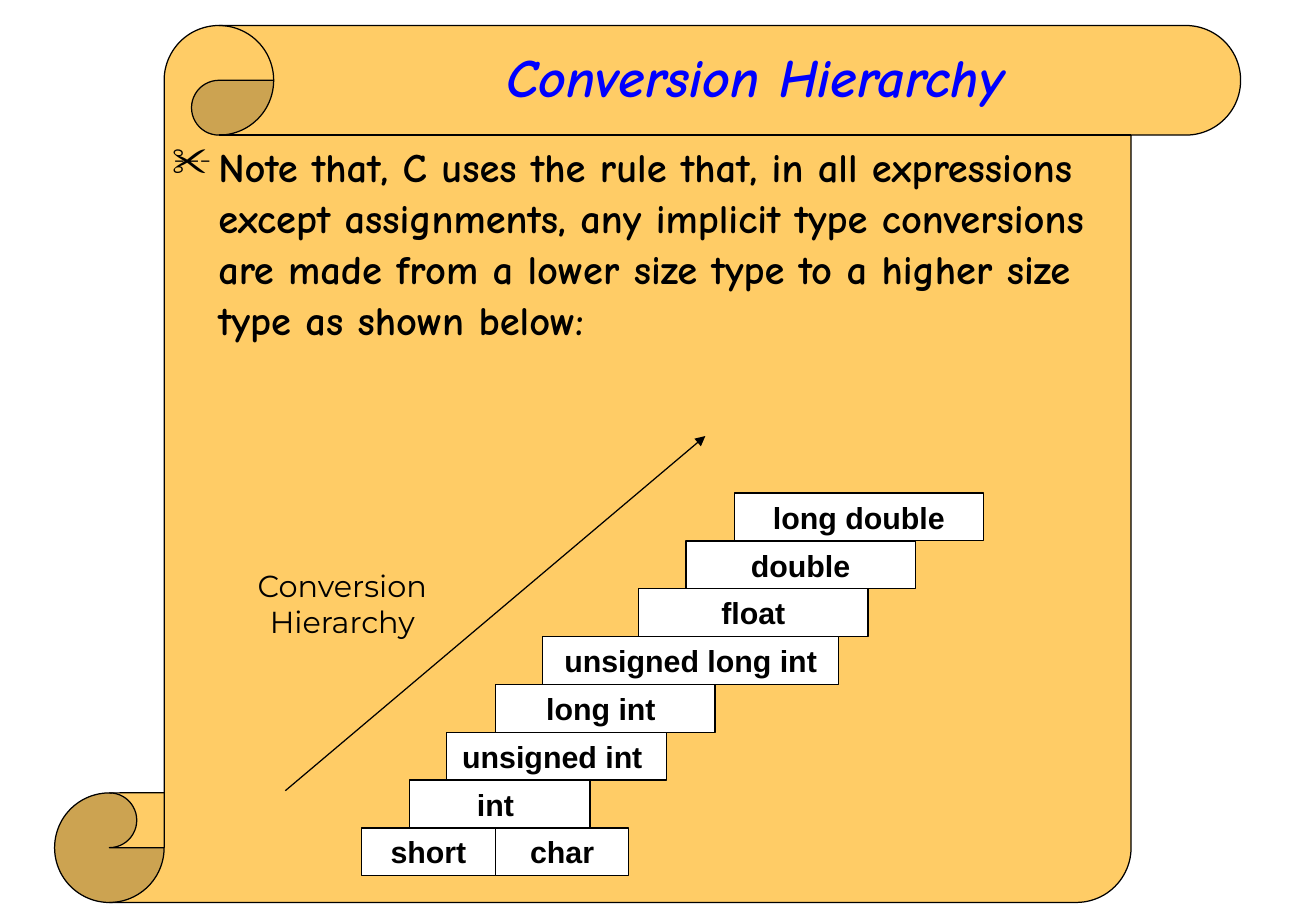
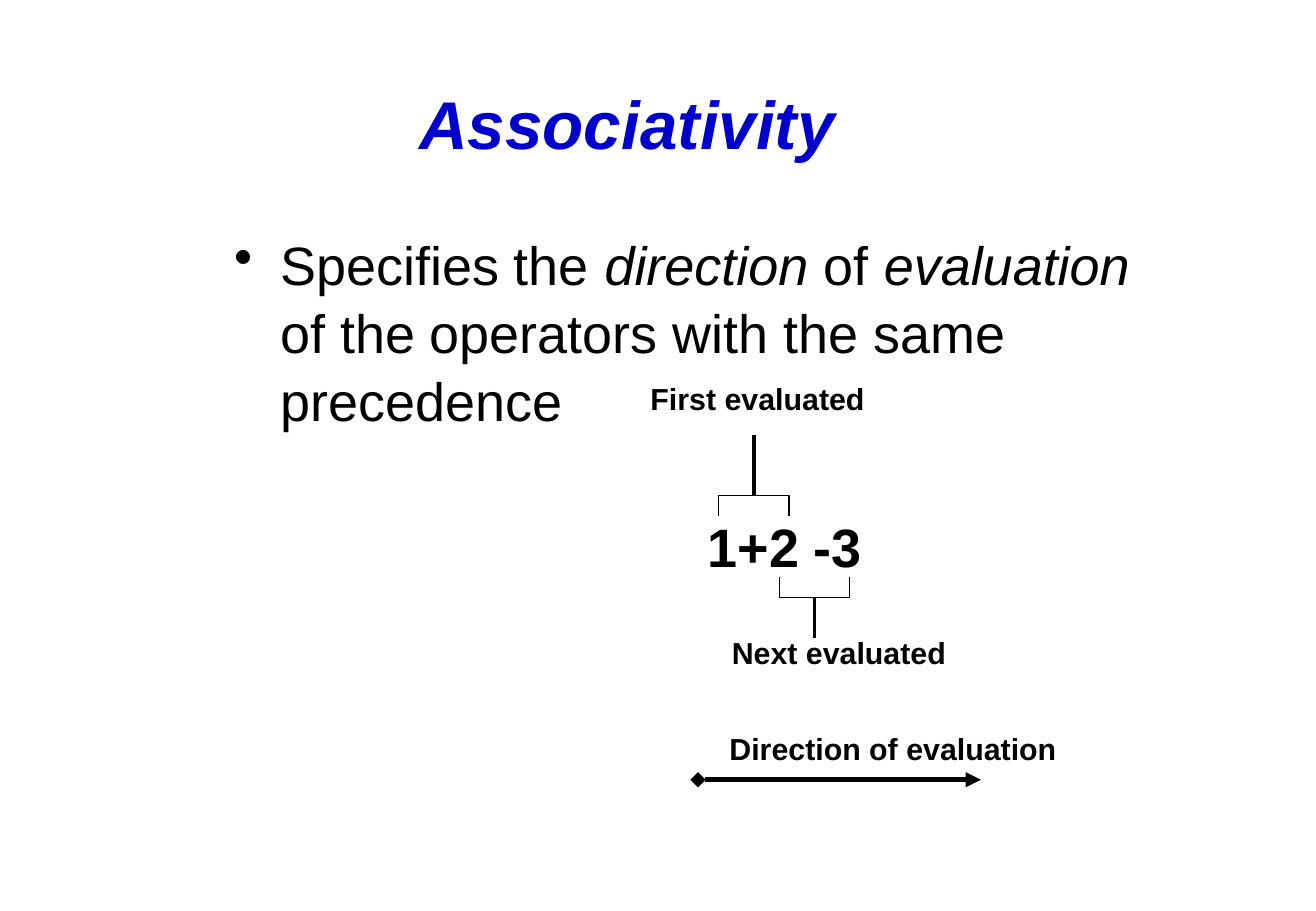
from lxml import etree
from pptx import Presentation
from pptx.dml.color import RGBColor
from pptx.enum import shapes, text
from pptx.oxml import ns
from pptx.util import Inches, Pt

THEME = dict(
    ink="000000", paper="FFFFFF", scroll="FFCC66",
    sans="Arial", comic="Comic Neue", label="Montserrat",
    small=18, medium=24, large=32, huge=40,
    thin=0.75, thick=2.25, heavy=3,
)
T = THEME
SIZE = (10.84, 7.5)

HIERARCHY = dict(
    title="Conversion Hierarchy",
    body="Note that, C uses the rule that, in all expressions except "
         "assignments, any implicit type conversions are made from a lower "
         "size type to a higher size type as shown below:",
    label=["Conversion", "Hierarchy"],
)
# Left edge, box width and types of each stair, from the top down
STAIRS = [
    (6.05, 2.05, ["long double"]),
    (5.65, 1.89, ["double"]),
    (5.26, 1.89, ["float"]),
    (4.47, 2.44, ["unsigned long int"]),
    (4.08, 1.81, ["long int "]),
    (3.68, 1.81, ["unsigned int "]),
    (3.37, 1.49, ["int "]),
    (2.98, 1.1, ["short", "char"]),
]
STAIRS_TOP, STAIRS_BOTTOM = 4.06, 7.21

ASSOCIATIVITY = dict(
    title="Associativity",
    body=[("Specifies the ", False), ("direction", True), (" of ", False),
          ("evaluation", True),
          (" of the operators with the same precedence", False)],
)
EXPRESSION = ("1+2 -3", (5.73, 4.18, 1.47, 0.63))
CAPTIONS = [
    ("First evaluated", (5.26, 3.08, 1.96, 0.4)),
    ("Next evaluated", (5.93, 5.17, 1.96, 0.4)),
    ("Direction of evaluation", (5.91, 5.96, 2.89, 0.4)),
]
# Left edge, open end, closed end and stem end of each bracket
BRACKETS = [(5.92, 4.25, 4.08, 3.58), (6.42, 4.75, 4.92, 5.25)]
BRACKET_WIDTH = 0.58


def rgb(color):
    return RGBColor.from_string(color)


def inches(values):
    return [Inches(v) for v in values]


def add_bullet(p, char):
    """Give a paragraph a hanging bullet."""
    pPr = p._p.get_or_add_pPr()
    pPr.set("marL", str(Inches(0.38)))
    pPr.set("indent", str(-Inches(0.38)))
    clr = etree.SubElement(pPr, ns.qn("a:buClr"))
    etree.SubElement(clr, ns.qn("a:srgbClr"), val=T["ink"])
    etree.SubElement(pPr, ns.qn("a:buChar"), char=char)


def write(sp, paragraphs, size=T["small"], font=T["sans"], color=T["ink"],
          bold=False, italic=False, align="LEFT", anchor="TOP", wrap=True,
          bullet=None, spacing=None):
    """Fill a shape with paragraphs: strings, or lists of (text, italic)."""
    tf = sp.text_frame
    tf.word_wrap = wrap
    tf.auto_size = text.MSO_AUTO_SIZE.NONE
    tf.vertical_anchor = getattr(text.MSO_ANCHOR, anchor)
    for i, runs in enumerate(paragraphs):
        p = tf.add_paragraph() if i else tf.paragraphs[0]
        p.alignment = getattr(text.PP_ALIGN, align)
        if spacing:
            p.line_spacing = spacing
        if bullet:
            add_bullet(p, bullet)
        if isinstance(runs, str):
            runs = [(runs, italic)]
        for words, slanted in runs:
            r = p.add_run()
            r.text = words
            f = r.font
            f.name, f.size, f.bold, f.italic = font, Pt(size), bold, slanted
            f.color.rgb = rgb(color)


def add_text(slide, box, paragraphs, **fmt):
    write(slide.shapes.add_textbox(*inches(box)), paragraphs, **fmt)


def add_body(slide, box, runs, **fmt):
    add_text(slide, box, [runs], spacing=1.05, **fmt)


def add_box(slide, kind, box, fill, line=T["ink"]):
    sp = slide.shapes.add_shape(kind, *inches(box))
    sp.shadow.inherit = False
    sp.fill.solid()
    sp.fill.fore_color.rgb = rgb(fill)
    if line:
        sp.line.color.rgb = rgb(line)
        sp.line.width = Pt(T["thin"])
    else:
        sp.line.fill.background()
    return sp


def add_line(slide, start, end, width, head=None, tail=None):
    c = slide.shapes.add_connector(shapes.MSO_CONNECTOR.STRAIGHT,
                                   *inches(start + end))
    c.line.color.rgb = rgb(T["ink"])
    c.line.width = Pt(width)
    ln = c.line._get_or_add_ln()
    for tag, kind in (("a:headEnd", head), ("a:tailEnd", tail)):
        if kind:
            etree.SubElement(ln, ns.qn(tag), type=kind)
    etree.SubElement(c._element.spPr, ns.qn("a:effectLst"))


def add_bracket(slide, left, opening, closed, stem):
    right, middle = left + BRACKET_WIDTH, left + BRACKET_WIDTH / 2
    builder = slide.shapes.build_freeform(*inches((left, opening)))
    corners = [(left, closed), (right, closed), (right, opening)]
    builder.add_line_segments([inches(c) for c in corners], close=False)
    sp = builder.convert_to_shape()
    sp.shadow.inherit = False
    sp.fill.background()
    sp.line.color.rgb = rgb(T["ink"])
    sp.line.width = Pt(T["thin"])
    add_line(slide, (middle, closed), (middle, stem), T["thick"])


def titled_slide(prs, title, box, **fmt):
    slide = prs.slides.add_slide(prs.slide_layouts[5])
    sp = slide.shapes.title
    sp.left, sp.top, sp.width, sp.height = inches(box)
    write(sp, [title], bold=True, italic=True, align="CENTER",
          anchor="MIDDLE", **fmt)
    return slide


def hierarchy_slide(prs):
    slide = titled_slide(prs, HIERARCHY["title"], (2.27, 0, 7.91, 1.25),
                         size=T["large"], font=T["comic"], color="0000FF")
    kinds = shapes.MSO_SHAPE
    scroll = add_box(slide, kinds.VERTICAL_SCROLL, (0.45, 0.21, 9.77, 7.22),
                     T["scroll"])
    slide.shapes._spTree.insert(2, scroll._element)  # behind the title
    add_body(slide, (1.32, 1.1, 7.95, 6.43), HIERARCHY["body"], bullet="✂",
             size=T["medium"], font=T["comic"], bold=True)

    height = (STAIRS_BOTTOM - STAIRS_TOP) / len(STAIRS)
    for row, (left, width, names) in enumerate(STAIRS):
        for col, name in enumerate(names):
            box = (left + col * width, STAIRS_TOP + row * height,
                   width, height)
            sp = add_box(slide, kinds.RECTANGLE, box, T["paper"])
            write(sp, [name], bold=True, align="CENTER", anchor="MIDDLE",
                  wrap=False)

    add_line(slide, (2.35, 6.51), (5.81, 3.59), T["thin"], tail="triangle")
    label = add_box(slide, kinds.RECTANGLE, (2.11, 4.69, 1.42, 0.55),
                    T["scroll"], line=None)
    write(label, HIERARCHY["label"], font=T["label"], align="CENTER",
          anchor="MIDDLE", wrap=False)


def associativity_slide(prs):
    slide = titled_slide(prs, ASSOCIATIVITY["title"],
                         (1.33, 0.17, 7.67, 1.67),
                         size=T["huge"], color="0000CC")
    add_body(slide, (1.83, 1.83, 7.67, 4.5), ASSOCIATIVITY["body"],
             bullet="•", size=T["large"])
    words, box = EXPRESSION
    add_text(slide, box, [words], size=T["large"], bold=True, wrap=False)
    for bracket in BRACKETS:
        add_bracket(slide, *bracket)
    for words, box in CAPTIONS:
        add_text(slide, box, [words], bold=True, wrap=False)
    add_line(slide, (5.75, 6.42), (8.08, 6.42), T["heavy"],
             head="diamond", tail="triangle")


def main():
    prs = Presentation()
    prs.slide_width, prs.slide_height = inches(SIZE)
    hierarchy_slide(prs)
    associativity_slide(prs)
    prs.save("out.pptx")


if __name__ == "__main__":
    main()
